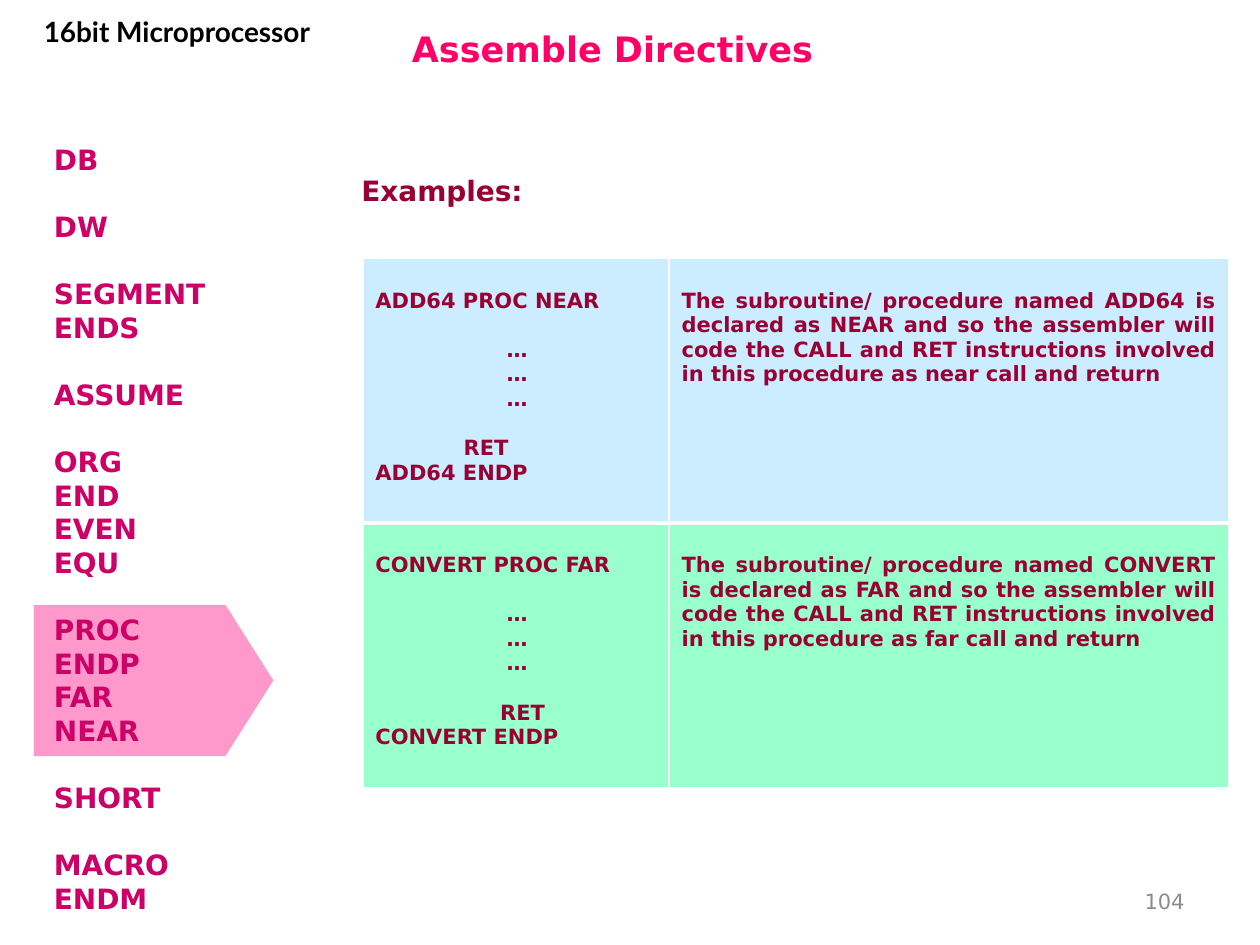
"""Build the slide on the PROC, ENDP, FAR and NEAR assembler directives."""
from dataclasses import dataclass

from lxml.etree import SubElement
from pptx import Presentation
from pptx.dml.color import RGBColor
from pptx.enum.shapes import MSO_SHAPE
from pptx.enum.text import MSO_ANCHOR, PP_ALIGN
from pptx.oxml.ns import qn
from pptx.util import Inches, Pt

WHITE = RGBColor(0xFF, 0xFF, 0xFF)
BLACK = RGBColor(0x00, 0x00, 0x00)
GRAY = RGBColor(0x8C, 0x8C, 0x8C)
ROSE = RGBColor(0xFF, 0x00, 0x66)
MAGENTA = RGBColor(0xCC, 0x00, 0x66)
MAROON = RGBColor(0x99, 0x00, 0x33)
PINK = RGBColor(0xFF, 0x99, 0xCC)
SKY = RGBColor(0xCC, 0xEC, 0xFF)
MINT = RGBColor(0x99, 0xFF, 0xCC)

DIRECTIVE_GROUPS = (
    ("DB",),
    ("DW",),
    ("SEGMENT", "ENDS"),
    ("ASSUME",),
    ("ORG", "END", "EVEN", "EQU"),
    ("PROC", "ENDP", "FAR", "NEAR"),
    ("SHORT",),
    ("MACRO", "ENDM"),
)


@dataclass(frozen=True)
class Line:
    """One paragraph with its indent in inches and its gap above in points."""
    text: str
    indent: float = 0
    gap: float = 0


@dataclass(frozen=True)
class Example:
    """One table row: a procedure and the distance it is declared with."""
    name: str
    distance: str
    ret_indent: float
    fill: RGBColor

    def code(self) -> list[Line]:
        """Return the listing of the procedure."""
        dots = [Line("…", 1.04, gap) for gap in (14, 0, 0)]
        return [Line(f"{self.name} PROC {self.distance}"), *dots,
                Line("RET", self.ret_indent, 14), Line(f"{self.name} ENDP")]

    def meaning(self) -> list[Line]:
        """Return the explanation of the procedure."""
        return [Line(f"The subroutine/ procedure named {self.name} is declared as "
                     f"{self.distance} and so the assembler will code the CALL and RET "
                     f"instructions involved in this procedure as "
                     f"{self.distance.lower()} call and return")]


EXAMPLES = (
    Example("ADD64", "NEAR", 0.7, SKY),
    Example("CONVERT", "FAR", 0.99, MINT),
)


def write_lines(frame, lines: list[Line], *, size: float, color: RGBColor,
                font: str = "DejaVu Sans", bold: bool = True,
                align=PP_ALIGN.LEFT, pitch: float | None = None) -> None:
    """Write formatted paragraphs into a text frame."""
    for index, line in enumerate(lines):
        para = frame.add_paragraph() if index else frame.paragraphs[0]
        para.alignment = align
        para.space_before = Pt(line.gap)
        if pitch:
            para.line_spacing = Pt(pitch)
        if line.indent:
            properties = para._p.get_or_add_pPr()
            properties.set("marL", str(Inches(line.indent)))
            properties.set("indent", "0")
        span = para.add_run()
        span.text = line.text
        span.font.name = font
        span.font.size = Pt(size)
        span.font.bold = bold
        span.font.color.rgb = color


def add_text(page, lines: list[Line], left: float, top: float, width: float,
             height: float, *, anchor=MSO_ANCHOR.TOP, wrap: bool = True,
             **style) -> None:
    """Add a text box holding the given lines."""
    box = page.shapes.add_textbox(Inches(left), Inches(top), Inches(width), Inches(height))
    box.text_frame.word_wrap = wrap
    box.text_frame.vertical_anchor = anchor
    write_lines(box.text_frame, lines, **style)


def add_marker(page) -> None:
    """Add the arrow-like marker behind the current directives."""
    marker = page.shapes.add_shape(MSO_SHAPE.FLOWCHART_OFFPAGE_CONNECTOR, Inches(0.62),
                                   Inches(4.45), Inches(1.2), Inches(1.9))
    marker.rotation = 270
    marker.shadow.inherit = False
    marker.fill.solid()
    marker.fill.fore_color.rgb = PINK
    marker.line.fill.background()


def set_borders(cell, bottom: float) -> None:
    """Give a cell thin white borders and a bottom border of its own width."""
    properties = cell._tc.get_or_add_tcPr()
    for side, width in (("L", 1), ("R", 1), ("T", 1), ("B", bottom)):
        edge = SubElement(properties, qn(f"a:ln{side}"), w=str(Pt(width)))
        paint = SubElement(edge, qn("a:solidFill"))
        SubElement(paint, qn("a:srgbClr"), val=str(WHITE))


def add_examples(page) -> None:
    """Add the table of example procedures."""
    table = page.shapes.add_table(len(EXAMPLES), 2, Inches(2.88), Inches(2.05),
                                  Inches(6.87), Inches(4.2)).table
    for column, width in zip(table.columns, (2.43, 4.44)):
        column.width = Inches(width)
    for index, example in enumerate(EXAMPLES):
        contents = ((example.code(), PP_ALIGN.LEFT), (example.meaning(), PP_ALIGN.JUSTIFY))
        for cell, (lines, align) in zip(table.rows[index].cells, contents):
            set_borders(cell, 1 if index else 3)
            cell.fill.solid()
            cell.fill.fore_color.rgb = example.fill
            cell.margin_top = Inches(0.24)
            write_lines(cell.text_frame, lines, size=12, color=MAROON, align=align)


def main() -> None:
    """Build and save the deck."""
    deck = Presentation()
    deck.slide_width, deck.slide_height = Inches(10), Inches(7.5)
    page = deck.slides.add_slide(deck.slide_layouts[6])
    pitch = 19.2
    directives = [Line(name, gap=pitch if group_index and not name_index else 0)
                  for group_index, group in enumerate(DIRECTIVE_GROUPS)
                  for name_index, name in enumerate(group)]

    add_marker(page)
    add_text(page, [Line("Assemble Directives")], 3.17, 0.12, 6.58, 0.53,
             anchor=MSO_ANCHOR.MIDDLE, size=20, color=ROSE)
    add_text(page, [Line("104")], 7.17, 6.95, 2.33, 0.4, anchor=MSO_ANCHOR.MIDDLE,
             size=12, color=GRAY, bold=False, align=PP_ALIGN.RIGHT)
    add_text(page, [Line("16bit Microprocessor")], 0.07, 0.07, 2.67, 0.64,
             size=16, color=BLACK, font="Lato", align=PP_ALIGN.CENTER)
    add_text(page, directives, 0.33, 1.08, 1.63, 6.29,
             size=16, color=MAGENTA, pitch=pitch)
    add_examples(page)
    add_text(page, [Line("Examples:")], 2.77, 1.33, 1.58, 0.37, wrap=False,
             size=16, color=MAROON)
    deck.save("out.pptx")


if __name__ == "__main__":
    main()
